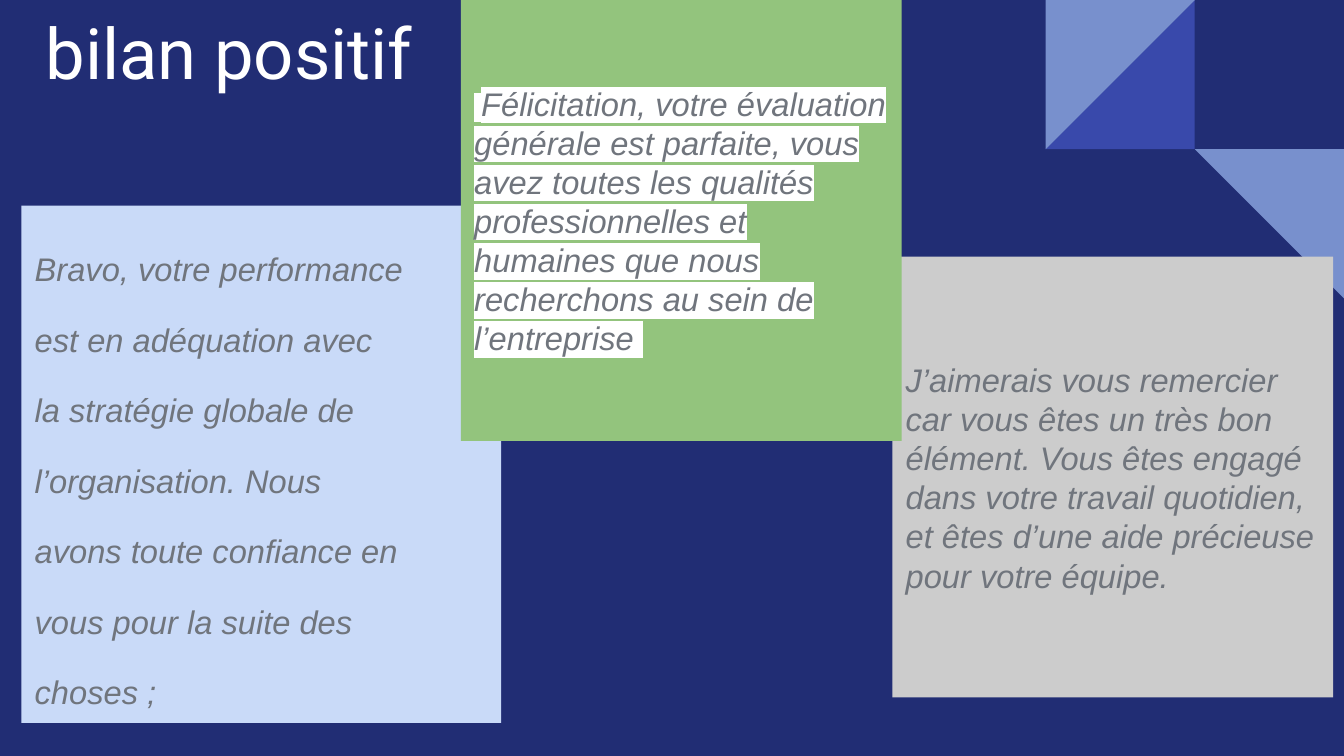
from lxml import etree
from pptx import Presentation
from pptx.dml.color import RGBColor
from pptx.enum.shapes import MSO_SHAPE
from pptx.enum.text import MSO_ANCHOR, MSO_AUTO_SIZE, PP_ALIGN
from pptx.oxml.ns import qn
from pptx.util import Inches, Pt

RECTANGLE = MSO_SHAPE.RECTANGLE
TRIANGLE = MSO_SHAPE.RIGHT_TRIANGLE
MIDDLE = MSO_ANCHOR.MIDDLE
BOTTOM = MSO_ANCHOR.BOTTOM
LEFT = PP_ALIGN.LEFT
NO_AUTOFIT = MSO_AUTO_SIZE.NONE

NAVY, INDIGO, PERIWINKLE = "212D74", "3949AB", "7890CD"
PALE_BLUE, GREY, GREEN = "C9DAF8", "CCCCCC", "93C47D"
WHITE, TEXT_GREY = "FFFFFF", "70757D"


def paint(color_format, color):
    color_format.rgb = RGBColor.from_string(color)


def add_box(page, kind, left, top, width, height, color):
    box = page.shapes.add_shape(
        kind, Inches(left), Inches(top), Inches(width), Inches(height))
    box.shadow.inherit = False
    box.fill.solid()
    paint(box.fill.fore_color, color)
    box.line.fill.background()
    return box


def prepare_text(box, anchor):
    frame = box.text_frame
    frame.word_wrap = True
    frame.auto_size = NO_AUTOFIT
    frame.vertical_anchor = anchor
    frame.margin_left = frame.margin_right = Inches(0.1)
    frame.margin_top = frame.margin_bottom = Inches(0.1)
    para = frame.paragraphs[0]
    para.alignment = LEFT
    return para


def add_span(para, text, size, color, font="Arial", italic=False, highlight=None):
    span = para.add_run()
    span.text = text
    span.font.size = Pt(size)
    span.font.name = font
    span.font.italic = italic
    paint(span.font.color, color)
    if highlight:
        mark = etree.Element(qn("a:highlight"))
        etree.SubElement(mark, qn("a:srgbClr"), val=highlight)
        span.font._element.find(qn("a:solidFill")).addnext(mark)


def add_triangles(page, left, top, side):
    triangles = [
        (0, 0, 0, True, INDIGO),
        (0, 0, 180, True, PERIWINKLE),
        (1, 1, 180, False, PERIWINKLE),
    ]
    for column, row, rotation, flipped, color in triangles:
        triangle = add_box(page, TRIANGLE, left + column * side,
                           top + row * side, side, side, color)
        triangle.rotation = rotation
        if flipped:
            triangle._element.spPr.find(qn("a:xfrm")).set("flipH", "1")


def place_title(page, left, top, width, height, text):
    title = page.shapes.title
    title.left, title.top = Inches(left), Inches(top)
    title.width, title.height = Inches(width), Inches(height)
    add_span(prepare_text(title, BOTTOM), text, 37.8, WHITE, font="Roboto")


def add_card(page, left, top, width, height, color, spans, highlight=None):
    card = add_box(page, RECTANGLE, left, top, width, height, color)
    para = prepare_text(card, MIDDLE)
    for text, size, italic in spans:
        add_span(para, text, size, TEXT_GREY, italic=italic, highlight=highlight)
    return para


def build_feedback_page(deck):
    page = deck.slides.add_slide(deck.slide_layouts[5])
    page.background.fill.solid()
    paint(page.background.fill.fore_color, NAVY)

    add_triangles(page, 7.78, 0, 1.11)
    place_title(page, 0.24, 0, 9.18, 0.8, "bilan positif")

    performance = add_card(page, 0.16, 1.53, 3.57, 3.85, PALE_BLUE, [
        ("Bravo, votre performance est en adéquation avec la stratégie globale "
         "de l’organisation. Nous avons toute confiance en vous pour la suite "
         "des choses ;", 17.5, True)])
    performance.line_spacing = 1.8
    performance.space_before = Pt(3)
    performance._p.get_or_add_pPr().set("marR", str(Inches(0.62)))

    add_card(page, 6.64, 1.91, 3.28, 3.28, GREY, [
        ("J’aimerais vous remercier car vous êtes un très bon élément. Vous "
         "êtes engagé dans votre travail quotidien, et êtes d’une aide "
         "précieuse pour votre équipe.", 17.5, True)])

    add_card(page, 3.43, 0, 3.28, 3.28, GREEN, [
        (" ", 13.5, False),
        ("Félicitation, votre évaluation générale est parfaite, vous avez "
         "toutes les qualités professionnelles et humaines que nous "
         "recherchons au sein de l’entreprise ", 17.5, True)], highlight=WHITE)


def main():
    deck = Presentation()
    deck.slide_width = Inches(10)
    deck.slide_height = deck.slide_width * 9 // 16
    build_feedback_page(deck)
    deck.save("out.pptx")


if __name__ == "__main__":
    main()
